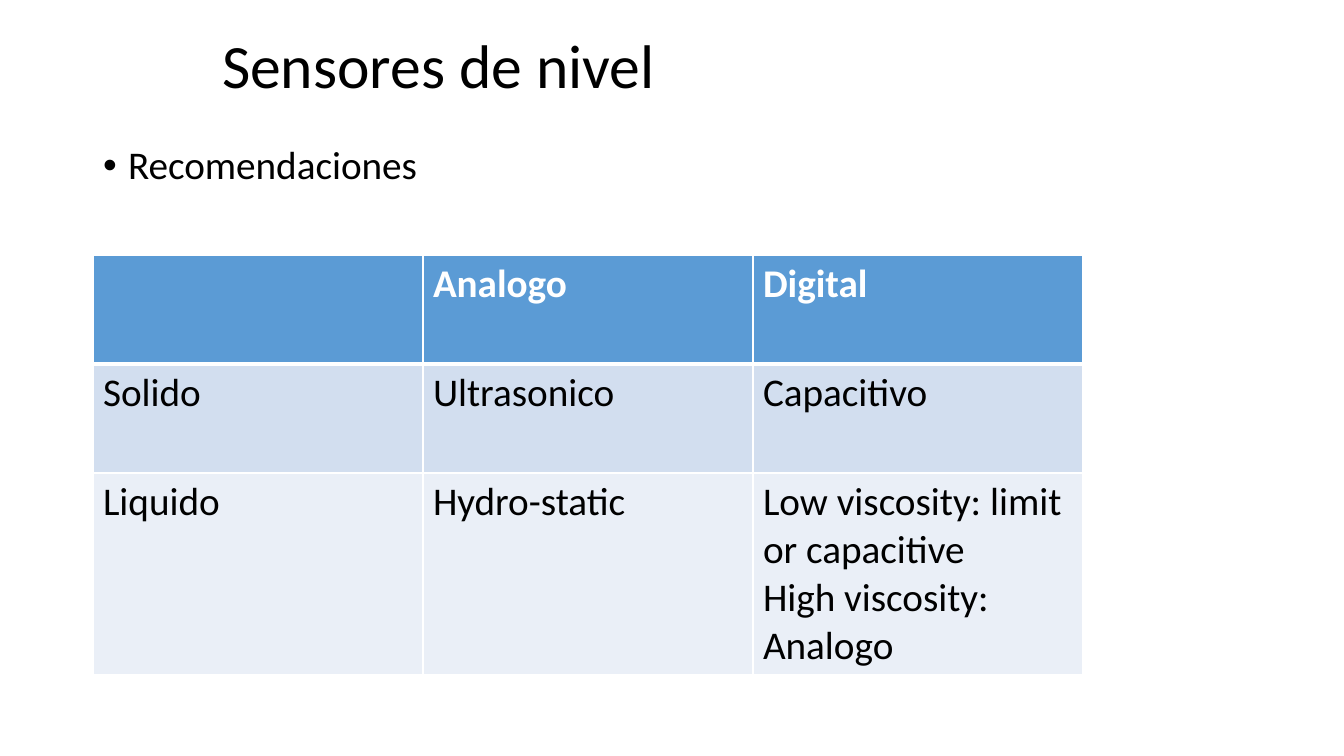
from dataclasses import dataclass

from lxml.etree import SubElement
from pptx import Presentation
from pptx.dml.color import RGBColor
from pptx.enum.text import MSO_ANCHOR as Anchor, MSO_AUTO_SIZE as AutoSize, PP_ALIGN as Align
from pptx.oxml.ns import qn
from pptx.util import Pt

PX = 914400 / 100.8  # EMU in one px


@dataclass(frozen=True)
class Theme:
    font: str = "Calibri"
    title_size: int = 44
    body_size: int = 28
    text: str = "000000"
    header_text: str = "FFFFFF"
    border: str = "FFFFFF"
    header_fill: str = "5B9BD5"
    row_fills: tuple = ("D2DEEF", "EAEFF7")


THEME = Theme()

TABLE_ROWS = [
    ["", "Analogo", "Digital"],
    ["Solido", "Ultrasonico", "Capacitivo"],
    ["Liquido", "Hydro-static", "Low viscosity: limit or capacitive\nHigh viscosity: Analogo"],
]


def px(length):
    return round(length * PX)


def add_text(paragraph, text, size, color, bold=False):
    run = paragraph.add_run()
    run.text = text
    run.font.name = THEME.font
    run.font.size = Pt(size)
    run.font.bold = bold
    run.font.color.rgb = RGBColor.from_string(color)


def fill_placeholder(shape, box, text, size, anchor):
    shape.left, shape.top, shape.width, shape.height = map(px, box)
    frame = shape.text_frame
    frame.word_wrap = True
    frame.auto_size = AutoSize.NONE
    frame.vertical_anchor = anchor
    paragraph = frame.paragraphs[0]
    paragraph.alignment = Align.LEFT
    paragraph.line_spacing = 0.9
    paragraph.space_before = Pt(0)
    add_text(paragraph, text, size, THEME.text)
    return paragraph


def add_bullet(paragraph, indent):
    properties = paragraph._p.get_or_add_pPr()
    properties.set("marL", str(px(indent)))
    properties.set("indent", str(-px(indent)))
    SubElement(properties, qn("a:buFont"), typeface="Arial")
    SubElement(properties, qn("a:buChar"), char="•")


def set_borders(cell, bottom_width):
    properties = cell._tc.get_or_add_tcPr()
    for side, width in (("L", 1), ("R", 1), ("T", 1), ("B", bottom_width)):
        line = SubElement(properties, qn(f"a:ln{side}"), w=str(Pt(width)))
        fill = SubElement(line, qn("a:solidFill"))
        SubElement(fill, qn("a:srgbClr"), val=THEME.border)


def fill_cell(cell, text, fill, color, is_header):
    set_borders(cell, 3 if is_header else 1)
    cell.fill.solid()
    cell.fill.fore_color.rgb = RGBColor.from_string(fill)
    frame = cell.text_frame
    for index, line in enumerate(text.split("\n") if text else []):
        paragraph = frame.add_paragraph() if index else frame.paragraphs[0]
        add_text(paragraph, line, THEME.body_size, color, is_header)


def add_sensor_table(slide, left, top, column_width, row_height):
    row_count, column_count = len(TABLE_ROWS), len(TABLE_ROWS[0])
    table = slide.shapes.add_table(
        row_count, column_count, px(left), px(top),
        px(column_width * column_count), px(row_height * row_count),
    ).table
    for column in table.columns:
        column.width = px(column_width)
    for row_index, texts in enumerate(TABLE_ROWS):
        table.rows[row_index].height = px(row_height)
        is_header = row_index == 0
        fill = THEME.header_fill if is_header else THEME.row_fills[(row_index - 1) % 2]
        color = THEME.header_text if is_header else THEME.text
        for column_index, text in enumerate(texts):
            fill_cell(table.cell(row_index, column_index), text, fill, color, is_header)


def main():
    presentation = Presentation()
    presentation.slide_width = px(1344)
    presentation.slide_height = px(756)
    slide = presentation.slides.add_slide(presentation.slide_layouts[1])

    # Title and bullet
    fill_placeholder(slide.shapes.title, (212, 19, 1040, 99),
                     "Sensores de nivel", THEME.title_size, Anchor.MIDDLE)
    bullet = fill_placeholder(slide.placeholders[1], (93, 141, 1159, 539),
                              "Recomendaciones", THEME.body_size, Anchor.TOP)
    add_bullet(bullet, 25)

    # Recommendation table
    add_sensor_table(slide, left=93, top=255, column_width=330, row_height=109)

    presentation.save("out.pptx")


if __name__ == "__main__":
    main()
